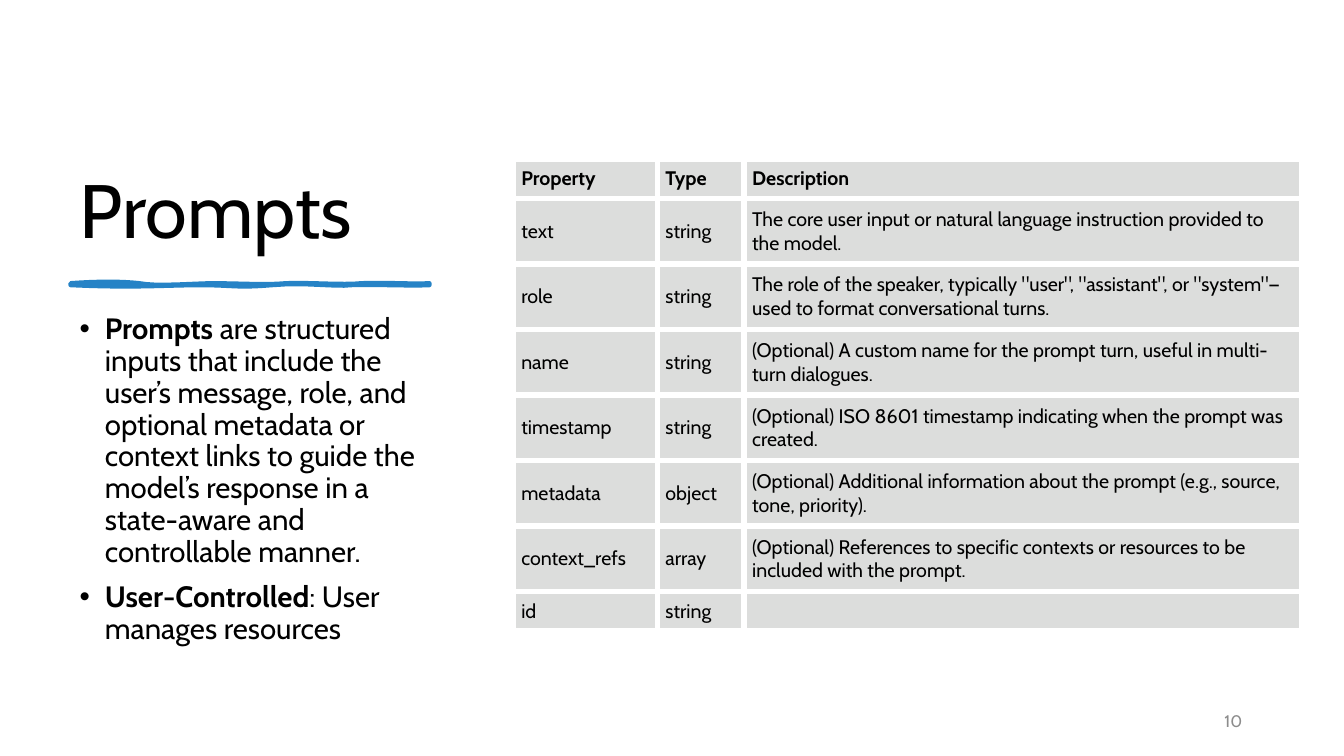
from lxml import etree
from pptx import Presentation
from pptx.dml.color import RGBColor
from pptx.enum.text import MSO_ANCHOR, MSO_AUTO_SIZE, PP_ALIGN
from pptx.oxml.ns import qn
from pptx.util import Pt

PX = 9144  # EMU in one px, 100 px to the inch
FONT = "Cabin"
BLACK = RGBColor(0x00, 0x00, 0x00)
WHITE = RGBColor(0xFF, 0xFF, 0xFF)
GREY = RGBColor(0x8C, 0x8C, 0x8C)
CELL = RGBColor(0xDC, 0xDD, 0xDC)
BLUE = RGBColor(0x26, 0x83, 0xC6)

BULLETS = [
    ("Prompts", " are structured inputs that include the user’s message, role, and optional "
                "metadata or context links to guide the model’s response in a state-aware and "
                "controllable manner."),
    ("User-Controlled", ": User manages resources"),
]
ROWS = [
    ("Property", "Type", "Description"),
    ("text", "string",
     "The core user input or natural language instruction provided to the model."),
    ("role", "string",
     'The role of the speaker, typically "user", "assistant", or "system"—used to format '
     "conversational turns."),
    ("name", "string",
     "(Optional) A custom name for the prompt turn, useful in multi-turn dialogues."),
    ("timestamp", "string",
     "(Optional) ISO 8601 timestamp indicating when the prompt was created."),
    ("metadata", "object",
     "(Optional) Additional information about the prompt (e.g., source, tone, priority)."),
    ("context_refs", "array",
     "(Optional) References to specific contexts or resources to be included with the prompt."),
    ("id", "string", ""),
]
COLUMN_WIDTHS = (143, 86, 553)
SHORT_ROW, TALL_ROW = 39, 65

# Brush stroke: cubic segments as two controls and an end, in px from its left top
STROKE = [
    ((27, -2), (51, -2), (68, 0)), ((85, 3), (107, 1), (139, 0)),
    ((171, 0), (191, 2), (214, 0)), ((238, -1), (269, 2), (289, 0)),
    ((309, -1), (342, 1), (356, 0)), ((356, 1), (356, 2), (356, 2)),
    ((338, 3), (294, 1), (278, 2)), ((262, 4), (234, -1), (200, 2)),
    ((165, 5), (161, 2), (129, 2)), ((96, 2), (62, 5), (0, 2)),
]
STEPS = 8


def add_run(p, text, size, color=BLACK, bold=False):
    r = p.add_run()
    r.text = text
    r.font.name, r.font.size, r.font.bold = FONT, Pt(size), bold
    r.font.color.rgb = color


def place(sp, box, anchor):
    sp.left, sp.top, sp.width, sp.height = (v * PX for v in box)
    tf = sp.text_frame
    tf.word_wrap = True
    tf.auto_size = MSO_AUTO_SIZE.NONE
    tf.vertical_anchor = anchor
    return tf


def add_title(s, box):
    p = place(s.shapes.title, box, MSO_ANCHOR.BOTTOM).paragraphs[0]
    p.alignment = PP_ALIGN.LEFT
    p.line_spacing = 0.9
    add_run(p, "Prompts", 54)


def add_stroke(s, left, top):
    start, points = (0, 0), []
    for c1, c2, end in STROKE:
        for step in range(1, STEPS + 1):
            t = step / STEPS
            u = 1 - t
            x, y = (u**3 * a + 3 * u * u * t * b + 3 * u * t * t * c + t**3 * d
                    for a, b, c, d in zip(start, c1, c2, end))
            points.append(((left + x) * PX, (top + y) * PX))
        start = end
    builder = s.shapes.build_freeform(left * PX, top * PX)
    builder.add_line_segments(points, close=True)
    sp = builder.convert_to_shape()
    sp.shadow.inherit = False
    sp.fill.solid()
    sp.fill.fore_color.rgb = BLUE
    sp.line.color.rgb = BLUE
    sp.line.width = Pt(3)


def add_bullets(s, box):
    tf = place(s.placeholders[1], box, MSO_ANCHOR.TOP)
    for i, (lead, rest) in enumerate(BULLETS):
        p = tf.add_paragraph() if i else tf.paragraphs[0]
        p.line_spacing = 0.9
        p.space_before = Pt(10)
        pPr = p._p.get_or_add_pPr()
        pPr.set("marL", str(25 * PX))
        pPr.set("indent", str(-25 * PX))
        etree.SubElement(pPr, qn("a:buChar"), char="•")
        add_run(p, lead, 21, bold=True)
        add_run(p, rest, 21)


def add_borders(cell):
    tcPr = cell._tc.get_or_add_tcPr()
    for side in ("a:lnL", "a:lnR", "a:lnT", "a:lnB"):
        ln = etree.SubElement(tcPr, qn(side), w=str(Pt(4.5)))
        fill = etree.SubElement(ln, qn("a:solidFill"))
        etree.SubElement(fill, qn("a:srgbClr"), val=str(WHITE))


def add_property_table(s, left, top):
    heights = [SHORT_ROW] + [TALL_ROW] * (len(ROWS) - 2) + [SHORT_ROW]
    table = s.shapes.add_table(len(ROWS), len(COLUMN_WIDTHS), left * PX, top * PX,
                               sum(COLUMN_WIDTHS) * PX, sum(heights) * PX).table
    table.horz_banding = False
    for column, width in zip(table.columns, COLUMN_WIDTHS):
        column.width = width * PX
    for i, (row, height) in enumerate(zip(table.rows, heights)):
        row.height = height * PX
        for cell, text in zip(row.cells, ROWS[i]):
            add_borders(cell)
            cell.fill.solid()
            cell.fill.fore_color.rgb = CELL
            cell.vertical_anchor = MSO_ANCHOR.MIDDLE
            cell.margin_left = cell.margin_right = 8 * PX
            cell.margin_top = cell.margin_bottom = 4 * PX
            add_run(cell.text_frame.paragraphs[0], text, 14, bold=i == 0)


def add_page_number(s, box):
    sp = s.shapes.add_textbox(0, 0, 0, 0)
    p = place(sp, box, MSO_ANCHOR.MIDDLE).paragraphs[0]
    p.alignment = PP_ALIGN.RIGHT
    p.space_after = Pt(6)
    add_run(p, "10", 12, GREY)


def main():
    prs = Presentation()
    prs.slide_width, prs.slide_height = 1333 * PX, 750 * PX
    s = prs.slides.add_slide(prs.slide_layouts[1])
    # Left column
    add_title(s, (69, 70, 375, 188))
    add_stroke(s, 70, 281)
    add_bullets(s, (69, 307, 375, 373))
    # Right side and footer
    add_page_number(s, (942, 695, 300, 40))
    add_property_table(s, 509, 158)
    prs.save("out.pptx")


if __name__ == "__main__":
    main()
